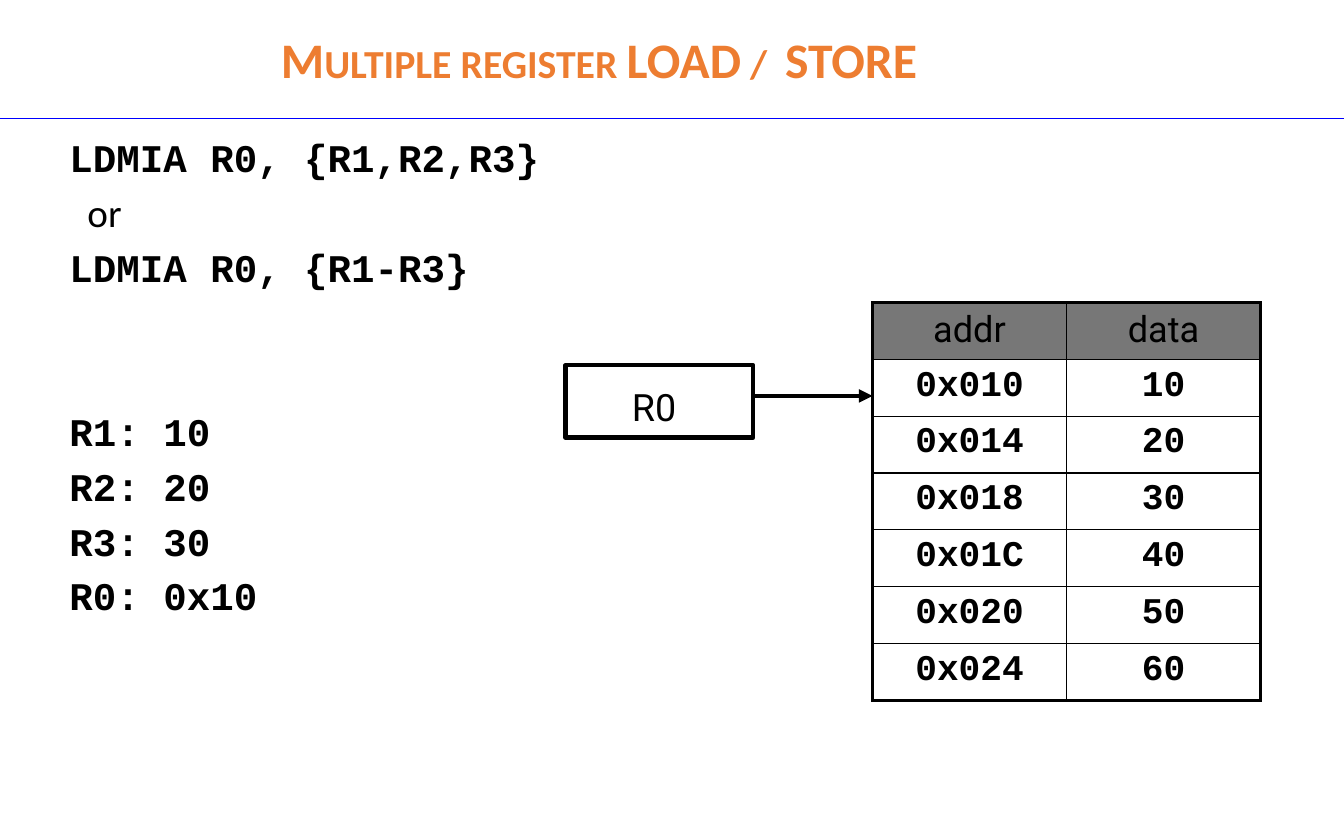
from pptx import Presentation
from pptx.dml.color import RGBColor
from pptx.enum.shapes import MSO_CONNECTOR as CONN, MSO_SHAPE as SHAPE
from pptx.enum.text import MSO_ANCHOR as ANCHOR, MSO_AUTO_SIZE as AUTO, PP_ALIGN as ALIGN
from pptx.oxml.ns import qn
from pptx.util import Pt
from lxml.etree import SubElement

BLACK, ORANGE, BLUE, GREY = "000000", "ED7D31", "0000FF", "777777"
CODE, BODY, LABEL = "Courier New", "Calibri", "Roboto"


def rgb(value):
    return RGBColor.from_string(value)


def set_margins(obj, left, top, right, bottom):
    obj.margin_left, obj.margin_top = Pt(left), Pt(top)
    obj.margin_right, obj.margin_bottom = Pt(right), Pt(bottom)


def write(p, text, size, font, color=BLACK, bold=False, align=ALIGN.LEFT):
    r = p.add_run()
    r.text = text
    p.alignment = align
    p.font.size, p.font.name, p.font.bold = Pt(size), font, bold
    p.font.color.rgb = rgb(color)
    return r


def add_title(s, x, y, w, h):
    title = s.shapes.title
    title.left, title.top, title.width, title.height = Pt(x), Pt(y), Pt(w), Pt(h)
    tf = title.text_frame
    tf.auto_size, tf.vertical_anchor = AUTO.NONE, ANCHOR.MIDDLE
    r = write(tf.paragraphs[0], "Multiple register LOAD /  STORE", 33, BODY, ORANGE, True, ALIGN.CENTER)
    r._r.get_or_add_rPr().set("cap", "small")


def add_line(s, x1, y1, x2, y2, color, width, arrow=False):
    line = s.shapes.add_connector(CONN.STRAIGHT, Pt(x1), Pt(y1), Pt(x2), Pt(y2))
    line.line.color.rgb, line.line.width = rgb(color), Pt(width)
    if arrow:
        SubElement(line.line._get_or_add_ln(), qn("a:tailEnd"), type="triangle")
    SubElement(line._element.spPr, qn("a:effectLst"))


def add_code(s, x, y, w, h):
    lines = [
        ("LDMIA R0, {R1,R2,R3}", 3.6),
        ("or", 5.2),
        ("LDMIA R0, {R1-R3}", 5.2),
        ("R1: 10", 78),
        ("R2: 20", 5.2),
        ("R3: 30", 5.2),
        ("R0: 0x10", 5.2),
    ]
    tf = s.shapes.add_textbox(Pt(x), Pt(y), Pt(w), Pt(h)).text_frame
    tf.word_wrap = True
    for i, (text, gap) in enumerate(lines):
        p = tf.add_paragraph() if i else tf.paragraphs[0]
        p.space_before, p.line_spacing = Pt(gap), Pt(31.2)
        is_code = text != "or"
        write(p, text, 26, CODE if is_code else BODY, bold=is_code)
        if not is_code:
            p._p.get_or_add_pPr().set("marL", str(Pt(12)))


def add_register(s, x, y, w, h):
    sp = s.shapes.add_shape(SHAPE.RECTANGLE, Pt(x), Pt(y), Pt(w), Pt(h))
    sp.shadow.inherit = False
    sp.fill.background()
    sp.line.color.rgb, sp.line.width = rgb(BLACK), Pt(3)
    tf = sp.text_frame
    set_margins(tf, 0, 6, 7.2, 0)
    tf.vertical_anchor = ANCHOR.MIDDLE
    write(tf.paragraphs[0], "R0", 25, LABEL, align=ALIGN.CENTER)


def set_borders(cell, **outer):
    for side in "LRTB":
        width = 2.25 if outer[side] else 1
        ln = SubElement(cell._tc.get_or_add_tcPr(), qn(f"a:ln{side}"), w=str(Pt(width)))
        SubElement(SubElement(ln, qn("a:solidFill")), qn("a:srgbClr"), val=BLACK)


def add_memory(s, x, y, w, h):
    rows = [("addr", "data")]
    rows += [(f"0x{16 + 4 * i:03X}", str(10 * (i + 1))) for i in range(6)]
    last = len(rows) - 1
    table = s.shapes.add_table(len(rows), 2, Pt(x), Pt(y), Pt(w), Pt(h)).table
    table.first_row = table.horz_banding = False
    for i, row in enumerate(rows):
        table.rows[i].height = Pt(h / len(rows))
        for j, text in enumerate(row):
            cell = table.cell(i, j)
            set_margins(cell, 10.8, 4.3, 10.8, 4.3)
            set_borders(cell, L=j == 0, R=j == 1, T=i == 0, B=i == last)
            if i == 0:
                cell.fill.solid()
                cell.fill.fore_color.rgb = rgb(GREY)
            else:
                cell.fill.background()
            write(cell.text_frame.paragraphs[0], text, 24, CODE if i else LABEL,
                  bold=i > 0, align=ALIGN.CENTER)


def add_load_slide(prs, w):
    s = prs.slides.add_slide(prs.slide_layouts[5])
    add_title(s, 0, 15, 796, 48)
    add_line(s, 0, 79, w, 79, BLUE, 0.75)
    add_code(s, 39, 85, 500, 413)
    add_memory(s, 579.6, 201, 257.8, 264.2)
    add_register(s, 375.8, 242.6, 124.4, 48.2)
    add_line(s, 500.2, 263, 579.6, 263, BLACK, 3, arrow=True)


def main():
    prs = Presentation()
    prs.slide_width, prs.slide_height = Pt(892.8), Pt(540)
    add_load_slide(prs, 892.8)
    prs.save("out.pptx")


if __name__ == "__main__":
    main()
